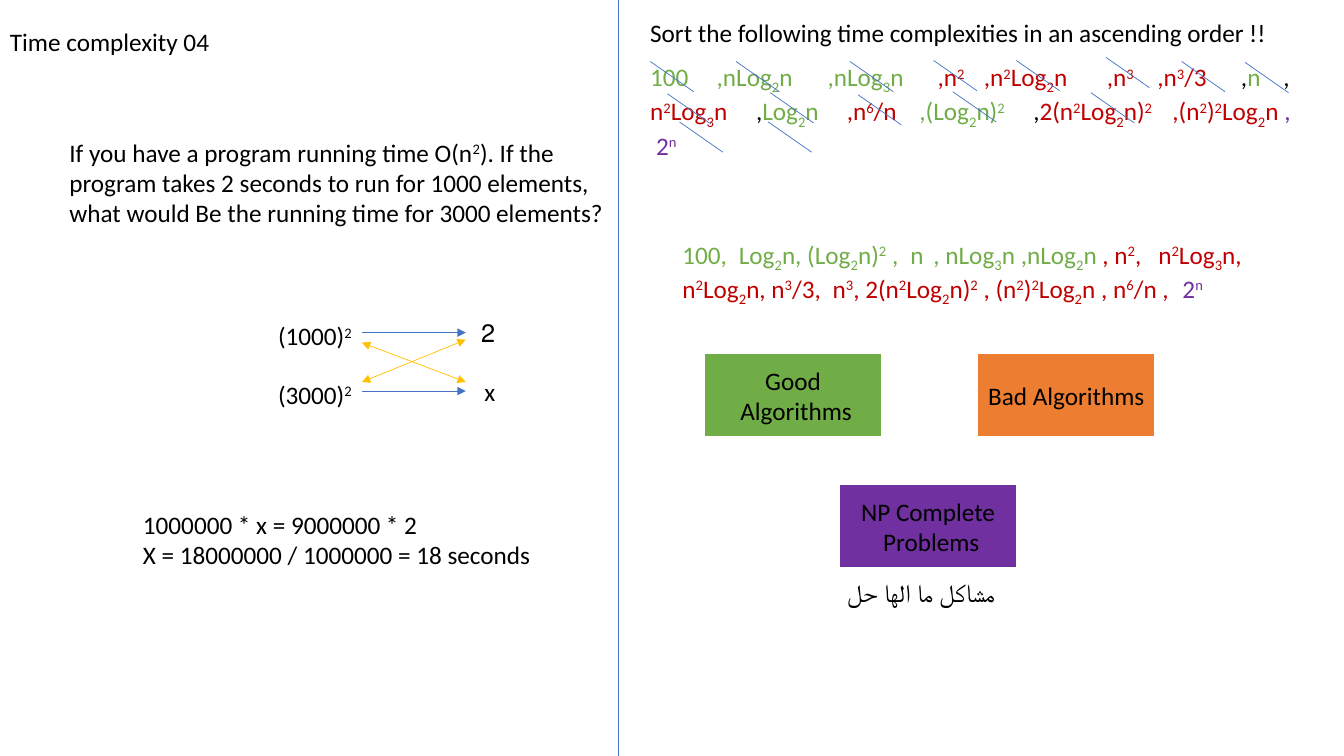
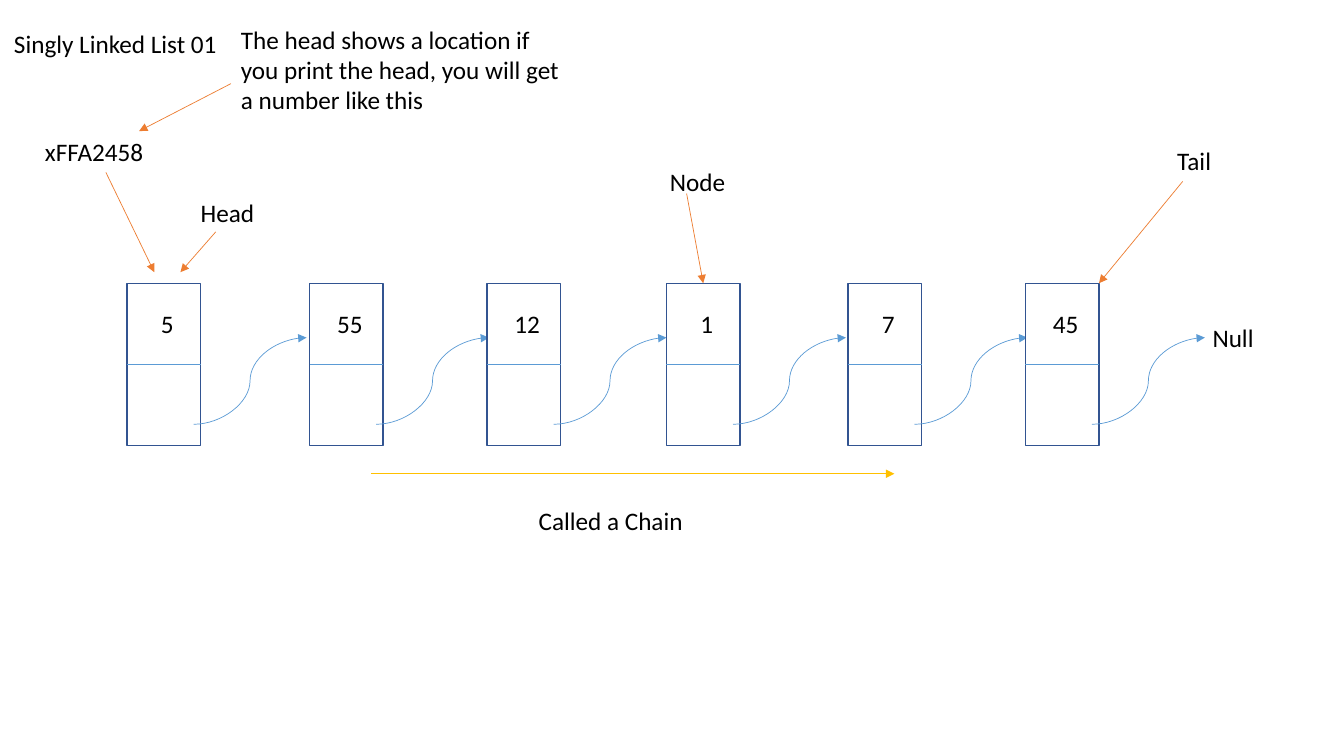
from dataclasses import dataclass
from typing import Iterator

from lxml import etree
from pptx import Presentation
from pptx import util as u
from pptx.dml.color import RGBColor
from pptx.enum import shapes, text
from pptx.oxml.ns import qn

SCALE = 9144
WIDE, TALL = 1333, 750
RAISE = {"^": 30000, "_": -25000}
LEFT, MID, RIGHT = text.PP_ALIGN.LEFT, text.PP_ALIGN.CENTER, text.PP_ALIGN.RIGHT


@dataclass(frozen=True)
class Theme:
    font: str = "Calibri"
    size: float = 18
    thin: float = 0.5
    edge: float = 1
    frame: float = 1.5
    black: str = "000000"
    white: str = "FFFFFF"
    blue: str = "4472C4"
    sky: str = "5B9BD5"
    navy: str = "325491"
    gold: str = "FFC000"
    orange: str = "ED7D31"
    green: str = "70AD47"
    red: str = "C00000"
    purple: str = "7030A0"


T = Theme()


@dataclass(frozen=True)
class Bit:
    words: str
    hue: str = T.black


@dataclass(frozen=True)
class Para:
    bits: tuple[Bit, ...]
    tabs: tuple[int, ...] = ()
    dent: int = 0


@dataclass(frozen=True)
class Note:
    x: int
    y: int
    w: int
    h: int
    paras: tuple[Para, ...]
    side: text.PP_ALIGN = LEFT
    rtl: bool = False


@dataclass(frozen=True)
class Link:
    x: int
    y: int
    to_x: int
    to_y: int
    hue: str
    head: bool = False
    tail: bool = False
    kind: shapes.MSO_CONNECTOR = shapes.MSO_CONNECTOR.STRAIGHT


@dataclass(frozen=True)
class Block:
    x: int
    y: int
    w: int
    h: int
    fill: str
    line: str
    width: float


def px(*vals: int) -> list[u.Emu]:
    return [u.Emu(val * SCALE) for val in vals]


def plain(*lines: str) -> tuple[Para, ...]:
    return tuple(Para((Bit(line),)) for line in lines)


def split(words: str) -> Iterator[tuple[str, int]]:
    flat = ""
    chars = iter(words)
    for char in chars:
        if char in RAISE:
            if flat:
                yield flat, 0
            flat = ""
            yield next(chars), RAISE[char]
        else:
            flat += char
    if flat:
        yield flat, 0


def write(frame, paras: tuple[Para, ...], side: text.PP_ALIGN, rtl: bool = False) -> None:
    frame.word_wrap = True
    for row, para in enumerate(paras):
        line = frame.add_paragraph() if row else frame.paragraphs[0]
        line.alignment = side
        props = line._p.get_or_add_pPr()
        if rtl:
            props.set("rtl", "1")
        if para.dent:
            props.set("marL", str(para.dent * SCALE))
        if para.tabs:
            stops = etree.SubElement(props, qn("a:tabLst"))
            for tab in para.tabs:
                etree.SubElement(stops, qn("a:tab"), pos=str(tab * SCALE), algn="l")
        for bit in para.bits:
            for words, base in split(bit.words):
                run = line.add_run()
                run.text = words
                run.font.name = T.font
                run.font.size = u.Pt(T.size)
                run.font.color.rgb = RGBColor.from_string(bit.hue)
                if base:
                    run._r.get_or_add_rPr().set("baseline", str(base))


def note(slide, item: Note) -> None:
    box = slide.shapes.add_textbox(*px(item.x, item.y, item.w, item.h))
    write(box.text_frame, item.paras, item.side, item.rtl)
    box.text_frame.auto_size = text.MSO_AUTO_SIZE.SHAPE_TO_FIT_TEXT


def link(slide, item: Link):
    line = slide.shapes.add_connector(
        item.kind, *px(item.x, item.y, item.to_x, item.to_y))
    line.line.color.rgb = RGBColor.from_string(item.hue)
    line.line.width = u.Pt(T.thin)
    stroke = line.line._get_or_add_ln()
    for name, shown in (("a:headEnd", item.head), ("a:tailEnd", item.tail)):
        if shown:
            etree.SubElement(stroke, qn(name), type="triangle")
    etree.SubElement(line._element.spPr, qn("a:effectLst"))
    return line


def block(slide, item: Block):
    rect = slide.shapes.add_shape(
        shapes.MSO_SHAPE.RECTANGLE, *px(item.x, item.y, item.w, item.h))
    rect.shadow.inherit = False
    rect.fill.solid()
    rect.fill.fore_color.rgb = RGBColor.from_string(item.fill)
    rect.line.color.rgb = RGBColor.from_string(item.line)
    rect.line.width = u.Pt(item.width)
    return rect


def timing(slide) -> None:
    puzzle = (
        Para((Bit("100\t,nLog_2n\t,nLog_3n\t", T.green),
              Bit(",n^2\t,n^2Log_2n\t,n^3\t,n^3/3\t", T.red),
              Bit(","), Bit("n\t", T.green), Bit(",")),
             (66, 176, 285, 331, 453, 503, 586, 628)),
        Para((Bit("n^2Log_3n\t", T.red), Bit(","), Bit("Log_2n\t", T.green),
              Bit(",n^6/n\t", T.red), Bit(",(Log_2n)^2\t", T.green), Bit(","),
              Bit("2(n^2Log_2n)^2\t,(n^2)^2Log_2n ", T.red), Bit(",", T.purple)),
             (105, 195, 267, 380, 518)),
        Para((Bit("2^n", T.purple),), dent=6),
    )
    answer = (
        Para((Bit("100,\tLog_2n, (Log_2n)^2 ,\tn\t, nLog_3n ,nLog_2n ", T.green),
              Bit(", n^2,\tn^2Log_3n,", T.red)), (56, 226, 249, 472)),
        Para((Bit("n^2Log_2n, n^3/3,\tn^3, 2(n^2Log_2n)^2 , (n^2)^2Log_2n , n^6/n ,\t", T.red),
              Bit("2^n", T.purple)), (149, 496)),
    )
    notes = (
        Note(0, 21, 268, 40, plain("Time complexity 04")),
        Note(59, 131, 576, 101, plain(
            "If you have a program running time O(n^2). If the program takes 2 seconds "
            "to run for 1000 elements, what would Be the running time for 3000 elements?")),
        Note(266, 313, 208, 40, plain("(1000)^2")),
        Note(436, 310, 65, 40, plain("2"), RIGHT, True),
        Note(266, 371, 208, 40, plain("(3000)^2")),
        Note(436, 368, 65, 40, plain("x"), RIGHT, True),
        Note(132, 500, 437, 71, plain(
            "1000000 * x = 9000000 * 2", "X = 18000000 / 1000000 = 18 seconds")),
        Note(635, 12, 658, 40, plain(
            "Sort the following time complexities in an ascending order !!")),
        Note(635, 56, 658, 101, puzzle),
        Note(667, 232, 644, 71, answer),
        Note(733, 568, 264, 40, plain("مشاكل ما الها حل"), RIGHT, True),
    )
    for item in notes:
        note(slide, item)

    links = (
        Link(359, 330, 462, 330, T.blue, tail=True),
        Link(359, 388, 462, 388, T.blue, tail=True),
        Link(359, 340, 462, 379, T.gold, True, True),
        Link(462, 337, 359, 379, T.gold, True, True),
        Link(613, 0, 613, TALL, T.blue),
    )
    for item in links:
        link(slide, item)

    strikes = (
        (645, 61), (730, 61), (843, 61), (926, 60), (1008, 60), (1097, 57),
        (1172, 61), (1235, 62), (662, 93), (764, 92), (851, 94), (945, 91),
        (1082, 92), (674, 121), (762, 121),
    )
    for x, y in strikes:
        link(slide, Link(x, y, x + 43, y + 30, T.blue))

    kinds = (
        (698, 350, T.green, "Good Algorithms "),
        (969, 350, T.orange, "Bad Algorithms"),
        (832, 480, T.purple, "NP Complete Problems "),
    )
    for x, y, fill, words in kinds:
        rect = block(slide, Block(x, y, 177, 84, fill, T.white, T.frame))
        write(rect.text_frame, plain(words), MID, True)


def chain(slide) -> None:
    top, wide, high = 281, 73, 161
    nodes = []
    for x, value in ((126, "5"), (307, "55"), (483, "12"),
                     (661, "1"), (841, "7"), (1017, "45")):
        node = block(slide, Block(x, top, wide, high, T.white, T.navy, T.edge))
        frame = node.text_frame
        frame.vertical_anchor = text.MSO_ANCHOR.TOP
        frame.margin_left, frame.margin_top, frame.margin_right = px(7, 25, 0)
        write(frame, plain(value), MID)
        half = top + high // 2
        bar = link(slide, Link(x, half, x + wide, half, T.sky))
        bar.begin_connect(node, 1)
        bar.end_connect(node, 3)
        link(slide, Link(x + 66, 421, x + 178, 335, T.sky, tail=True,
                         kind=shapes.MSO_CONNECTOR.CURVE))
        nodes.append(node)

    notes = (
        Note(4, 23, 268, 40, plain("Singly Linked List 01")),
        Note(229, 19, 348, 101, plain(
            "The head shows a location if you print the head, "
            "you will get a number like this")),
        Note(15, 130, 137, 40, plain("xFFA2458"), RIGHT, True),
        Note(166, 191, 96, 40, plain("Head"), RIGHT, True),
        Note(611, 160, 118, 40, plain("Node"), RIGHT, True),
        Note(1028, 139, 183, 40, plain("Tail"), RIGHT, True),
        Note(1173, 315, 100, 40, plain("Null"), MID),
        Note(440, 496, 247, 40, plain("Called a Chain"), RIGHT, True),
    )
    for item in notes:
        note(slide, item)

    links = (
        Link(229, 83, 138, 130, T.orange, tail=True),
        Link(105, 171, 153, 270, T.orange, tail=True),
        Link(214, 230, 179, 270, T.orange, tail=True),
        Link(1173, 180, 1090, top, T.orange, tail=True),
        Link(368, 470, 887, 470, T.gold, tail=True),
    )
    for item in links:
        link(slide, item)
    arrow = link(slide, Link(681, 192, 697, top, T.orange, tail=True))
    arrow.end_connect(nodes[3], 0)


def main() -> None:
    deck = Presentation()
    deck.slide_width, deck.slide_height = px(WIDE, TALL)
    for draw in (timing, chain):
        draw(deck.slides.add_slide(deck.slide_layouts[6]))
    deck.save("out.pptx")


if __name__ == "__main__":
    main()
